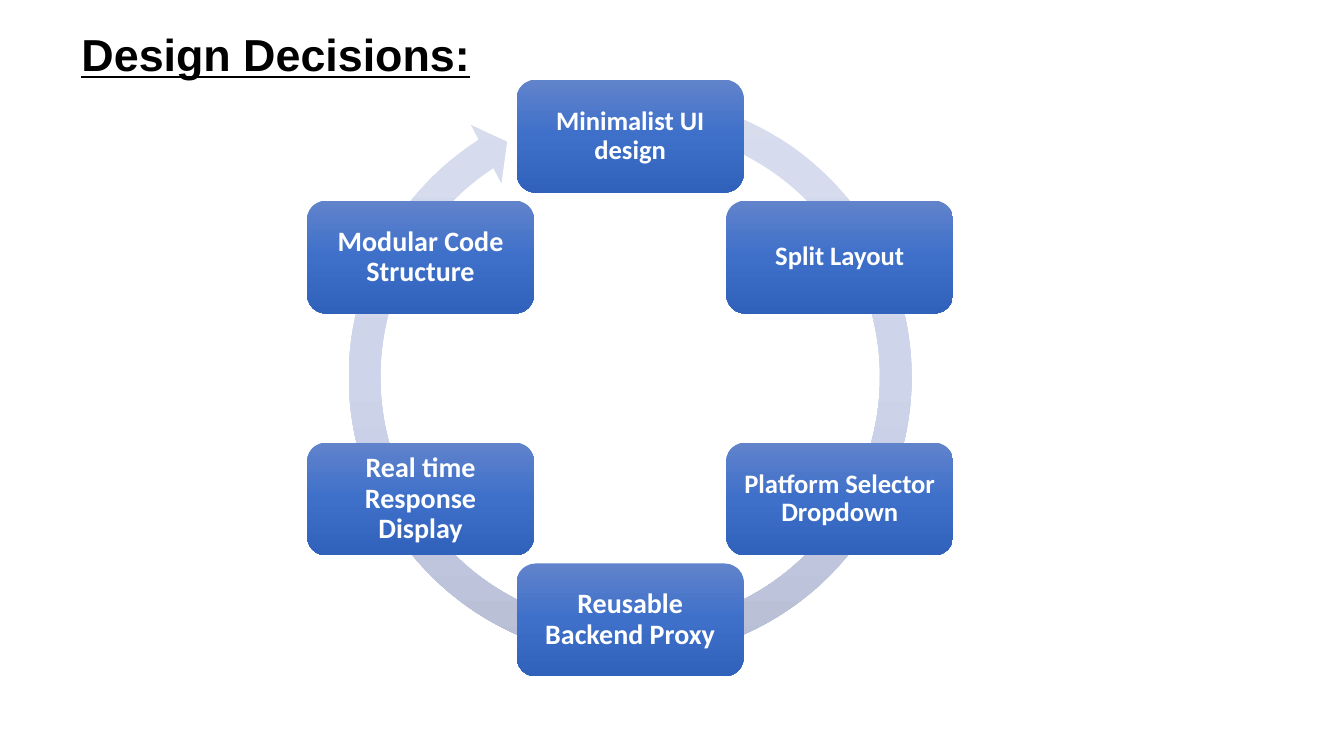
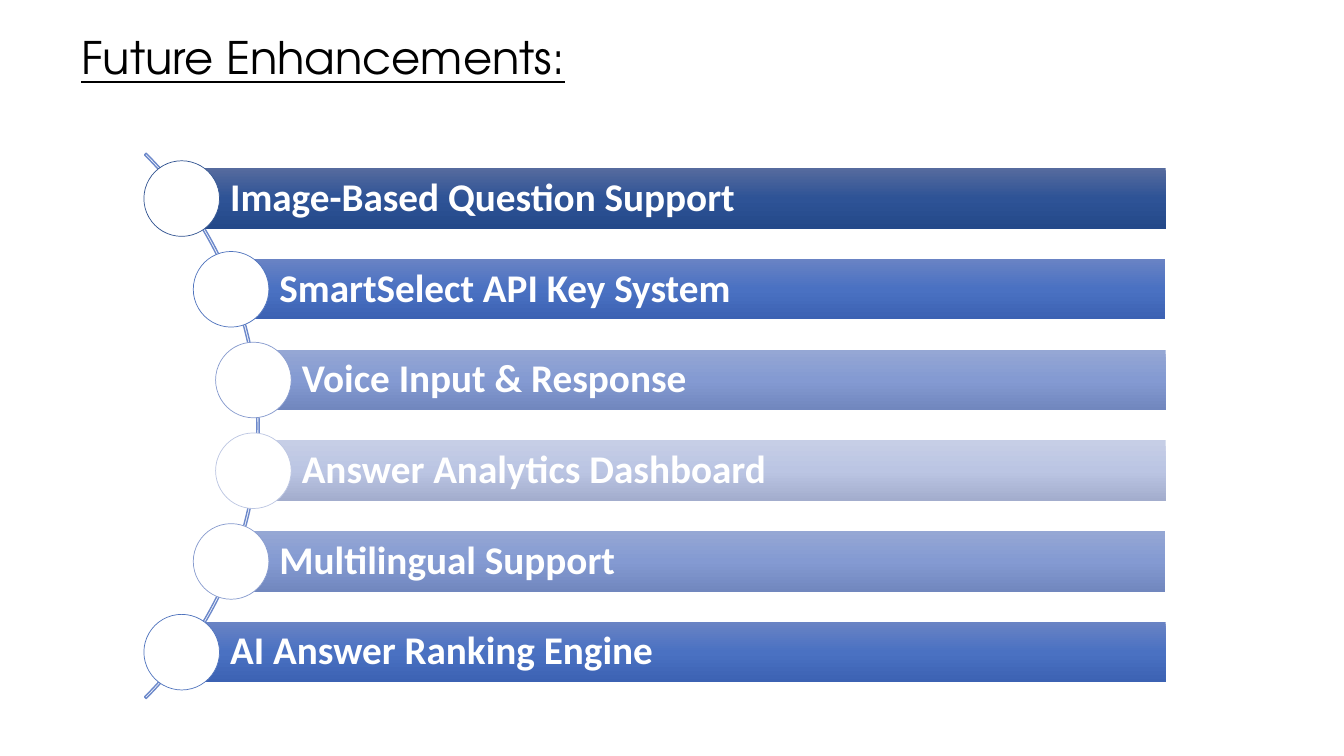
from copy import deepcopy
from math import cos, radians, sin, sqrt

from pptx import Presentation
from pptx.dml.color import RGBColor
from pptx.enum import shapes, text
from pptx.oxml import ns
from pptx.util import Inches, Pt

COLORS = {
    "title": "000000",
    "label": "FFFFFF",
    "disc": "FFFFFF",
    "arc": "6D89CB",
}
# Gradient stops run from top to bottom
GRADIENTS = {
    "ring": ("D8DDEE", "CED5EB", "B5BCD3"),
    "step": ("6183CB", "3E70CA", "3062BB"),
    "navy": ("566B9E", "2E5396", "244989"),
    "blue": ("6983C4", "4A71C2", "3C62B3"),
    "soft": ("95A7D4", "849AD2", "7187BE"),
    "pale": ("C6CEE6", "BBC5E3", "A3ADCD"),
}
OUTLINES = {"navy": "325491", "blue": "4F73BD", "soft": "879BCE", "pale": "BCC6E2"}

TITLE_FORMAT = {"size": Pt(32), "underline": True}
LABEL_FORMAT = {"name": "Calibri", "bold": True}

STEPS = [
    ("Minimalist UI design", 19),
    ("Split Layout", 19),
    ("Platform Selector Dropdown", 19),
    ("Reusable Backend Proxy", 20),
    ("Real time Response Display", 20),
    ("Modular Code Structure", 20),
]
ENHANCEMENTS = [
    ("Image-Based Question Support", "navy"),
    ("SmartSelect API Key System", "blue"),
    ("Voice Input & Response", "soft"),
    ("Answer Analytics Dashboard", "pale"),
    ("Multilingual Support", "soft"),
    ("AI Answer Ranking Engine", "blue"),
]


# Shared helpers
def color(value):
    return RGBColor.from_string(value)


def set_values(target, values):
    for name, value in values.items():
        setattr(target, name, value)


def write_text(box, wording, font_format, font_color, frame_format, paragraph_format):
    frame = box.text_frame
    set_values(frame, {"word_wrap": True, **frame_format})
    para = frame.paragraphs[0]
    set_values(para, paragraph_format)
    span = para.add_run()
    span.text = wording
    set_values(span.font, font_format)
    span.font.color.rgb = color(font_color)


def add_title(page, wording, top, width, height, font_format):
    box = page.shapes.add_textbox(*map(Inches, (0.71, top, width, height)))
    write_text(box, wording, {**TITLE_FORMAT, **font_format}, COLORS["title"], {}, {})


def add_plain(page, kind, left, top, width, height, outline=None, weight=1):
    shape = page.shapes.add_shape(kind, *map(Inches, (left, top, width, height)))
    shape.shadow.inherit = False
    shape.fill.background()
    if outline:
        shape.line.color.rgb = color(outline)
        shape.line.width = Pt(weight)
    else:
        shape.line.fill.background()
    return shape


def fill_gradient(shape, stops):
    shape.fill.gradient()
    shape.fill.gradient_angle = 270
    # A new gradient has two stops; add the third
    stop_list = next(shape.element.iter(ns.qn("a:gsLst")))
    stop_list.append(deepcopy(stop_list[-1]))
    for index, (stop, value) in enumerate(zip(shape.fill.gradient_stops, stops)):
        stop.position = index / 2
        stop.color.rgb = color(value)


def set_adjustments(shape, values):
    for index, value in enumerate(values):
        shape.adjustments[index] = value


def add_label_box(page, kind, place, gradient, wording, size, align, indent=0.08):
    box = add_plain(page, kind, *place)
    fill_gradient(box, GRADIENTS[gradient])
    margins = {f"margin_{side}": Inches(0.08) for side in ("top", "right", "bottom")}
    write_text(
        box, wording, {**LABEL_FORMAT, "size": Pt(size)}, COLORS["label"],
        {**margins, "margin_left": Inches(indent),
         "vertical_anchor": text.MSO_ANCHOR.MIDDLE},
        {"alignment": align, "line_spacing": 0.9},
    )


# Cycle of steps, clockwise from the top
def add_cycle(page):
    center_x, center_y, radius = 6.25, 3.75, 2.4
    width, height = 2.25, 1.12
    ring = add_plain(page, shapes.MSO_SHAPE.CIRCULAR_ARROW, 3.29, 0.78, 5.92, 5.92)
    fill_gradient(ring, GRADIENTS["ring"])
    set_adjustments(ring, (0.053, 3.126, 142.291, 171.264, 0.055))
    for index, (wording, size) in enumerate(STEPS):
        angle = radians(index * 360 / len(STEPS))
        left = center_x + radius * sin(angle) - width / 2
        top = center_y - radius * cos(angle) - height / 2
        add_label_box(page, shapes.MSO_SHAPE.ROUNDED_RECTANGLE,
                      (left, top, width, height), "step", wording, size,
                      text.PP_ALIGN.CENTER)


# Bars whose discs follow a curve
def add_curved_list(page):
    center_x, center_y, radius = -1.26, 4.22, 3.8
    right, bar_height, pitch, disc = 11.56, 0.6, 0.9, 0.75
    arc = add_plain(page, shapes.MSO_SHAPE.BLOCK_ARC, -5.08, 0.4, 7.65, 7.65,
                    COLORS["arc"])
    set_adjustments(arc, (189, 27, 0.003))
    for index, (wording, tone) in enumerate(ENHANCEMENTS):
        offset = (index - (len(ENHANCEMENTS) - 1) / 2) * pitch
        left = center_x + sqrt(radius ** 2 - offset ** 2)
        middle = center_y + offset
        add_label_box(page, shapes.MSO_SHAPE.RECTANGLE,
                      (left, middle - bar_height / 2, right - left, bar_height),
                      tone, wording, 28, text.PP_ALIGN.LEFT, 0.48)
        marker = add_plain(page, shapes.MSO_SHAPE.OVAL, left - disc / 2,
                           middle - disc / 2, disc, disc, OUTLINES[tone], 0.5)
        marker.fill.solid()
        marker.fill.fore_color.rgb = color(COLORS["disc"])


def main():
    deck = Presentation()
    deck.slide_width, deck.slide_height = Inches(13.33), Inches(7.5)
    blank = deck.slide_layouts[6]

    # Design decisions
    page = deck.slides.add_slide(blank)
    add_title(page, "Design Decisions:", 0.22, 9.65, 0.64,
              {"name": "Arial", "bold": True})
    add_cycle(page)

    # Future enhancements
    page = deck.slides.add_slide(blank)
    add_title(page, "Future Enhancements:", 0.25, 11.22, 0.94,
              {"name": "TeX Gyre Adventor"})
    add_curved_list(page)

    deck.save("out.pptx")


if __name__ == "__main__":
    main()
